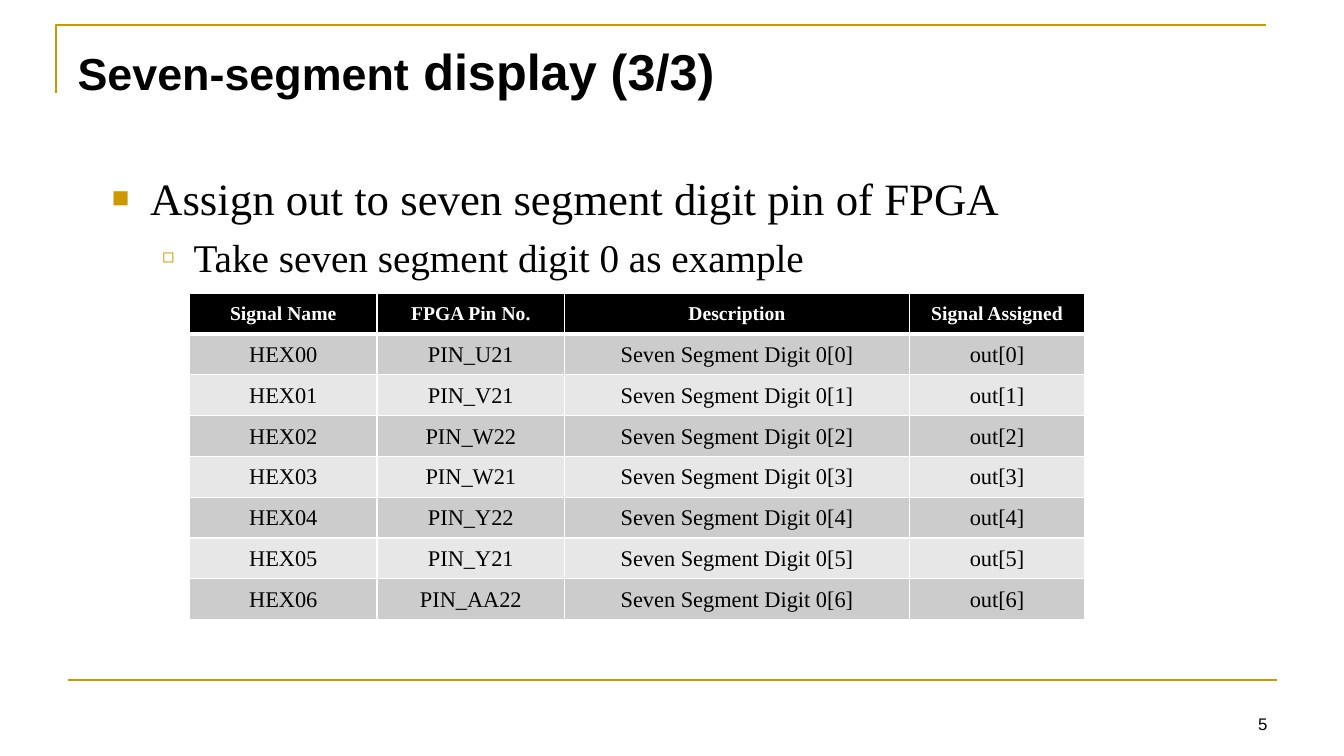
import dataclasses

import pptx
import pptx.dml.color
import pptx.enum.shapes
import pptx.enum.text
import pptx.oxml
import pptx.oxml.ns
import pptx.util
from pptx.util import Inches

GOLD, BLACK, WHITE = "CC9900", "000000", "FFFFFF"
ROW_FILLS = ("CCCCCC", "E7E7E7")
SANS, SERIF = "Arial", "Times New Roman"
ALIGN = pptx.enum.text.PP_ALIGN
ANCHOR = pptx.enum.text.MSO_ANCHOR


@dataclasses.dataclass
class Bullet:
    text: str
    size: int
    level: int
    character: str
    percent: int
    margin: float
    hanging: float
    space_before: float


BULLETS = [
    Bullet("Assign out to seven segment digit pin of FPGA", 32, 0, "■", 65, 0.38, 0.38, 0),
    Bullet("Take seven segment digit 0 as example", 28, 1, "◻", 50, 0.81, 0.31, 6.5),
]
HEADINGS = ["Signal Name", "FPGA Pin No.", "Description", "Signal Assigned"]
PINS = ["U21", "V21", "W22", "W21", "Y22", "Y21", "AA22"]
COLUMN_WIDTHS = [1.86, 1.86, 3.42, 1.74]
ROW_HEIGHT = 0.405


def color(value: str) -> pptx.dml.color.RGBColor:
    return pptx.dml.color.RGBColor.from_string(value)


def add_run(paragraph, text: str, size: float, font: str,
            fill: str = BLACK, bold: bool = False) -> None:
    run = paragraph.add_run()
    run.text = text
    run.font.size = pptx.util.Pt(size)
    run.font.name = font
    run.font.bold = bold
    run.font.color.rgb = color(fill)


def place(shape, left: float, top: float, width: float, height: float) -> None:
    shape.left, shape.top = Inches(left), Inches(top)
    shape.width, shape.height = Inches(width), Inches(height)


def prepare_frame(shape, anchor, top_margin: float = 0.05):
    frame = shape.text_frame
    frame.word_wrap = True
    frame.auto_size = pptx.enum.text.MSO_AUTO_SIZE.NONE
    frame.vertical_anchor = anchor
    frame.margin_top = Inches(top_margin)
    return frame


def append_xml(parent, xml: str) -> None:
    tag, rest = xml.split(" ", 1)
    namespace = pptx.oxml.ns.nsdecls("a")
    parent.append(pptx.oxml.parse_xml(f"{tag} {namespace} {rest}"))


def style_line(line) -> None:
    line.color.rgb = color(GOLD)
    line.width = pptx.util.Pt(1.5)


def add_bullet(paragraph, bullet: Bullet) -> None:
    paragraph.level = bullet.level
    paragraph.alignment = ALIGN.LEFT
    paragraph.space_before = pptx.util.Pt(bullet.space_before)
    properties = paragraph._p.get_or_add_pPr()
    properties.set("marL", str(Inches(bullet.margin)))
    properties.set("indent", str(-Inches(bullet.hanging)))
    append_xml(properties, f'<a:buClr ><a:srgbClr val="{GOLD}"/></a:buClr>')
    append_xml(properties, f'<a:buSzPct val="{bullet.percent * 1000}"/>')
    append_xml(properties, f'<a:buFont typeface="{SANS}"/>')
    append_xml(properties, f'<a:buChar char="{bullet.character}"/>')
    add_run(paragraph, bullet.text, bullet.size, SERIF)


def fill_cell(cell, text: str, row: int) -> None:
    header = row == 0
    cell.margin_left = cell.margin_right = cell.margin_top = Inches(0.01)
    cell.margin_bottom = 0
    cell.vertical_anchor = ANCHOR.MIDDLE
    # Borders, with a heavy rule under the header
    widths = {"L": 1, "R": 1, "T": 3 if row == 1 else 1, "B": 3 if header else 1}
    for side, width in widths.items():
        append_xml(cell._tc.get_or_add_tcPr(),
                   f'<a:ln{side} w="{pptx.util.Pt(width)}"><a:solidFill>'
                   f'<a:srgbClr val="{WHITE}"/></a:solidFill></a:ln{side}>')
    cell.fill.solid()
    cell.fill.fore_color.rgb = color(BLACK if header else ROW_FILLS[(row - 1) % 2])
    paragraph = cell.text_frame.paragraphs[0]
    paragraph.alignment = ALIGN.CENTER
    add_run(paragraph, text, 14 if header else 16, SERIF,
            WHITE if header else BLACK, header)


def add_frame_lines(slide) -> None:
    builder = slide.shapes.build_freeform(Inches(0.56), Inches(0.92))
    builder.add_line_segments([(Inches(0.56), Inches(0.25)),
                               (Inches(12.56), Inches(0.25))], close=False)
    corner = builder.convert_to_shape()
    corner.fill.background()
    corner.shadow.inherit = False
    style_line(corner.line)
    footer_line = slide.shapes.add_connector(
        pptx.enum.shapes.MSO_CONNECTOR.STRAIGHT,
        Inches(0.67), Inches(6.75), Inches(12.67), Inches(6.75))
    style_line(footer_line.line)
    append_xml(footer_line._element.spPr, "<a:effectLst />")


def add_pin_table(slide) -> None:
    rows = [HEADINGS] + [
        [f"HEX0{index}", f"PIN_{pin}", f"Seven Segment Digit 0[{index}]", f"out[{index}]"]
        for index, pin in enumerate(PINS)]
    table = slide.shapes.add_table(
        len(rows), len(HEADINGS), Inches(1.88), Inches(2.91),
        Inches(sum(COLUMN_WIDTHS)), Inches(ROW_HEIGHT * len(rows))).table
    for column, width in zip(table.columns, COLUMN_WIDTHS):
        column.width = Inches(width)
    for row_index, texts in enumerate(rows):
        table.rows[row_index].height = Inches(ROW_HEIGHT)
        for column_index, text in enumerate(texts):
            fill_cell(table.cell(row_index, column_index), text, row_index)


def main() -> None:
    presentation = pptx.Presentation()
    presentation.slide_width = Inches(13.33)
    presentation.slide_height = Inches(7.5)
    slide = presentation.slides.add_slide(presentation.slide_layouts[1])

    # Title
    title = slide.shapes.title
    place(title, 0.67, 0.3, 12.41, 1.32)
    paragraph = prepare_frame(title, ANCHOR.TOP, 0.1).paragraphs[0]
    paragraph.alignment = ALIGN.LEFT
    add_run(paragraph, "Seven-segment", 32, SANS, bold=True)
    add_run(paragraph, " display (3/3)", 36, SANS, bold=True)

    # Bulleted list
    body = slide.placeholders[1]
    place(body, 1.01, 1.6, 10.09, 3.44)
    frame = prepare_frame(body, ANCHOR.TOP, 0.09)
    for index, bullet in enumerate(BULLETS):
        add_bullet(frame.add_paragraph() if index else frame.paragraphs[0], bullet)

    # Frame lines and pin table
    add_frame_lines(slide)
    add_pin_table(slide)

    # Slide number
    number = slide.shapes.add_textbox(Inches(9.56), Inches(6.83), Inches(3.11), Inches(0.5))
    paragraph = prepare_frame(number, ANCHOR.BOTTOM).paragraphs[0]
    paragraph.alignment = ALIGN.RIGHT
    add_run(paragraph, "5", 12, SANS)

    presentation.save("out.pptx")


if __name__ == "__main__":
    main()
